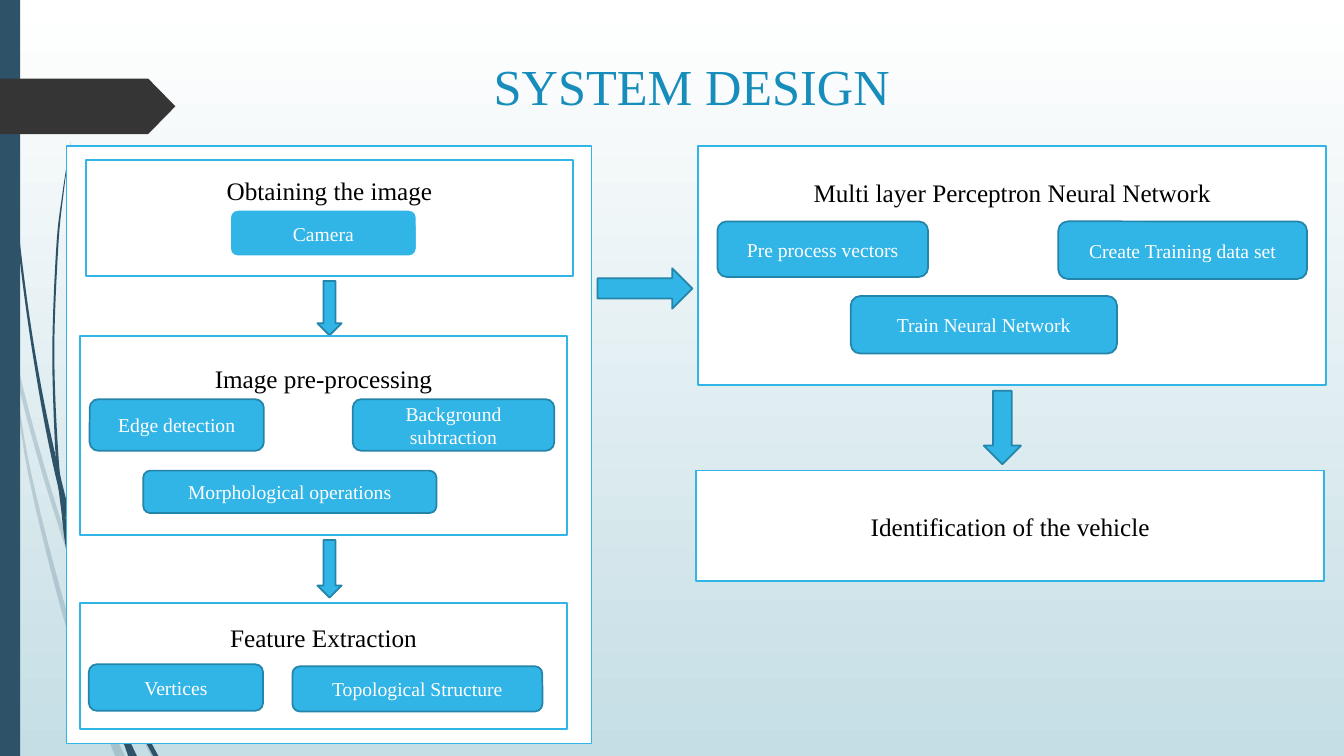
from lxml.etree import SubElement
from pptx import Presentation
from pptx.dml.color import RGBColor as RGB
from pptx.enum.shapes import MSO_SHAPE as SHAPE
from pptx.enum.text import MSO_ANCHOR as ANCHOR, PP_ALIGN as ALIGN
from pptx.oxml.ns import qn
from pptx.util import Cm, Pt

W, H = 33.87, 19.05
FONT = "Times New Roman"
COLORS = {
    "white": "FFFFFF", "mist": "C5DEE5", "navy": "2E5369", "tag": "353535",
    "blue": "31B4E6", "edge": "2485AA", "title": "178DBB", "black": "000000",
}
HEADING = {"size": Pt(18), "color": "black"}
STEP = {"size": Pt(14), "color": "white"}
TITLE = {"size": Pt(36), "color": "title"}

PALE_WISPS = [
    [(7.49, 0, .08), (9.55, .43, .53), (11.4, .91, 1.02), (13.21, 1.46, 1.57),
     (15.24, 2.15, 2.27), (17.6, 3.11, 3.24), (19.05, 3.81, 3.94)],
    [(8.89, .28, .28), (11.94, .71, .79), (15.75, 1.65, 1.78),
     (17.53, 2.31, 2.44), (19.05, 2.9, 3.15)],
]
DARK_WISPS = [
    [(0, .08, .1), (2.79, .18, .2), (5.92, .43, .48), (9.02, .84, .91),
     (11.99, 1.4, 1.52), (14.99, 2.22, 2.36), (17.96, 3.34, 3.47), (19.05, 3.86, 3.99)],
    [(3.58, 1.78, 1.78), (4.9, 1.57, 1.6), (6.22, 1.42, 1.47), (8.86, 1.32, 1.37),
     (11.43, 1.4, 1.47), (12.83, 1.54, 1.63), (14.15, 1.73, 1.83),
     (16.71, 2.36, 2.5), (18.29, 2.96, 3.11), (19.05, 3.23, 3.45)],
]


def rgb(name):
    """Return the named colour."""
    return RGB.from_string(COLORS[name])


def paint(sp, fill, line=None, width=1.25):
    """Set fill and outline and drop the shadow."""
    sp.shadow.inherit = False
    sp.fill.solid()
    sp.fill.fore_color.rgb = rgb(fill)
    if line:
        sp.line.color.rgb = rgb(line)
        sp.line.width = Pt(width)
    else:
        sp.line.fill.background()
    return sp


def write(sp, text, style, anchor=ANCHOR.MIDDLE, pad=0.13):
    """Write one centred line of text into a shape."""
    tf = sp.text_frame
    for key, value in {"word_wrap": True, "vertical_anchor": anchor,
                       "margin_top": Cm(pad)}.items():
        setattr(tf, key, value)
    p = tf.paragraphs[0]
    p.alignment = ALIGN.CENTER
    r = p.add_run()
    r.text = text
    for key, value in {"name": FONT, "size": style["size"]}.items():
        setattr(r.font, key, value)
    r.font.color.rgb = rgb(style["color"])


def add(shapes, kind, box, origin=(0, 0), fill="blue", line="edge", width=1.25):
    """Add a painted preset shape at a box measured from the origin."""
    x, y, w, h = box
    sp = shapes.add_shape(kind, Cm(origin[0] + x), Cm(origin[1] + y), Cm(w), Cm(h))
    return paint(sp, fill, line, width)


def smooth(rows, steps=8):
    """Return rows interpolated with a Catmull-Rom curve."""
    ends = [rows[0], *rows, rows[-1]]
    result = []
    for a, b, c, d in zip(ends, ends[1:], ends[2:], ends[3:]):
        for i in range(steps):
            t = i / steps
            result.append(tuple(
                q + t / 2 * (s - o + t * (2 * o - 5 * q + 4 * s - u
                                          + t * (3 * q - o - 3 * s + u)))
                for o, q, s, u in zip(a, b, c, d)))
    return result + [rows[-1]]


def wisp(shapes, rows, alpha=100):
    """Draw a curved strand from rows of height, left edge and right edge."""
    rows = smooth(rows)
    outline = [(right, y) for y, _, right in rows]
    outline += [(left, y) for y, left, _ in reversed(rows)]
    points = [(Cm(x), Cm(y)) for x, y in outline]
    builder = shapes.build_freeform(*points[0])
    builder.add_line_segments(points[1:], close=True)
    sp = paint(builder.convert_to_shape(), "navy")
    clr = sp._element.spPr.find(qn("a:solidFill"))[0]
    SubElement(clr, qn("a:alpha"), val=str(alpha * 1000))


def backdrop(slide):
    """Draw the gradient, the strands, the side bar and the tag."""
    fill = slide.background.fill
    fill.gradient()
    fill.gradient_angle = 270
    for stop, name in zip(fill.gradient_stops, ("white", "mist")):
        stop.color.rgb = rgb(name)
    for wisps, alpha in ((PALE_WISPS, 20), (DARK_WISPS, 100)):
        for rows in wisps:
            wisp(slide.shapes, rows, alpha)
    add(slide.shapes, SHAPE.RECTANGLE, (0, 0, .51, H), fill="navy", line=None)
    tag = add(slide.shapes, SHAPE.PENTAGON, (0, 1.98, 4.42, 1.4), fill="tag", line=None)
    tag.adjustments[0] = 0.49


def title(shapes, box, text):
    """Add the slide title."""
    write(shapes.add_textbox(*map(Cm, box)), text, TITLE, ANCHOR.TOP)


def stage(shapes, box, origin, heading, pad=None, steps=(), step_line=("edge", 1.25)):
    """Draw a framed stage with its heading and step buttons."""
    frame = add(shapes, SHAPE.RECTANGLE, box, origin, "white", "blue")
    if pad is None:
        write(frame, heading, HEADING)
    else:
        write(frame, heading, HEADING, ANCHOR.TOP, pad)
    corner = origin[0] + box[0], origin[1] + box[1]
    for text, place in steps:
        sp = add(shapes, SHAPE.ROUNDED_RECTANGLE, place, corner, "blue", *step_line)
        write(sp, text, STEP)


def image_panel(shapes, box):
    """Draw the panel of image stages from camera to features."""
    origin = box[:2]
    add(shapes, SHAPE.RECTANGLE, box, fill="white", line="blue")
    for y, h in ((3.4, 1.37), (9.93, 1.45)):
        add(shapes, SHAPE.DOWN_ARROW, (6.32, y, .61, h), origin)
    stage(shapes, (.48, .36, 12.29, 2.92), origin, "Obtaining the image", .37,
          [("Camera", (3.63, 1.24, 4.72, 1.19))], ("white", 1.75))
    stage(shapes, (.33, 4.78, 12.29, 5.03), origin, "Image pre-processing", .69,
          [("Edge detection", (.25, 1.6, 4.39, 1.3)),
           ("Background subtraction", (6.88, 1.6, 5.08, 1.3)),
           ("Morphological operations", (1.6, 3.4, 7.39, 1.07))])
    stage(shapes, (.33, 11.51, 12.29, 3.18), origin, "Feature Extraction", .49,
          [("Vertices", (.23, 1.55, 4.39, 1.17)),
           ("Topological Structure", (5.36, 1.6, 6.3, 1.14))])


def network_column(shapes, origin):
    """Draw the neural network stage and the identification below it."""
    stage(shapes, (.05, 0, 15.82, 6.02), origin,
          "Multi layer Perceptron Neural Network", .79,
          [("Pre process vectors", (.48, 1.9, 5.31, 1.4)),
           ("Create Training data set", (9.07, 1.9, 6.27, 1.45)),
           ("Train Neural Network", (3.84, 3.78, 6.71, 1.45))])
    add(shapes, SHAPE.DOWN_ARROW, (7.24, 6.17, .94, 1.85), origin)
    stage(shapes, (0, 8.18, 15.82, 2.79), origin, "Identification of the vehicle")


def main():
    """Build and save the slide."""
    prs = Presentation()
    prs.slide_width, prs.slide_height = Cm(W), Cm(H)
    slide = prs.slides.add_slide(prs.slide_layouts[6])
    shapes = slide.shapes
    backdrop(slide)
    title(shapes, (5.05, 1.27, 24.77, 2.39), "SYSTEM DESIGN")
    image_panel(shapes, (1.68, 3.68, 13.23, 15.06))
    add(shapes, SHAPE.RIGHT_ARROW, (15.06, 6.76, 2.39, 1.02))
    network_column(shapes, (17.55, 3.68))
    prs.save("out.pptx")


main()
